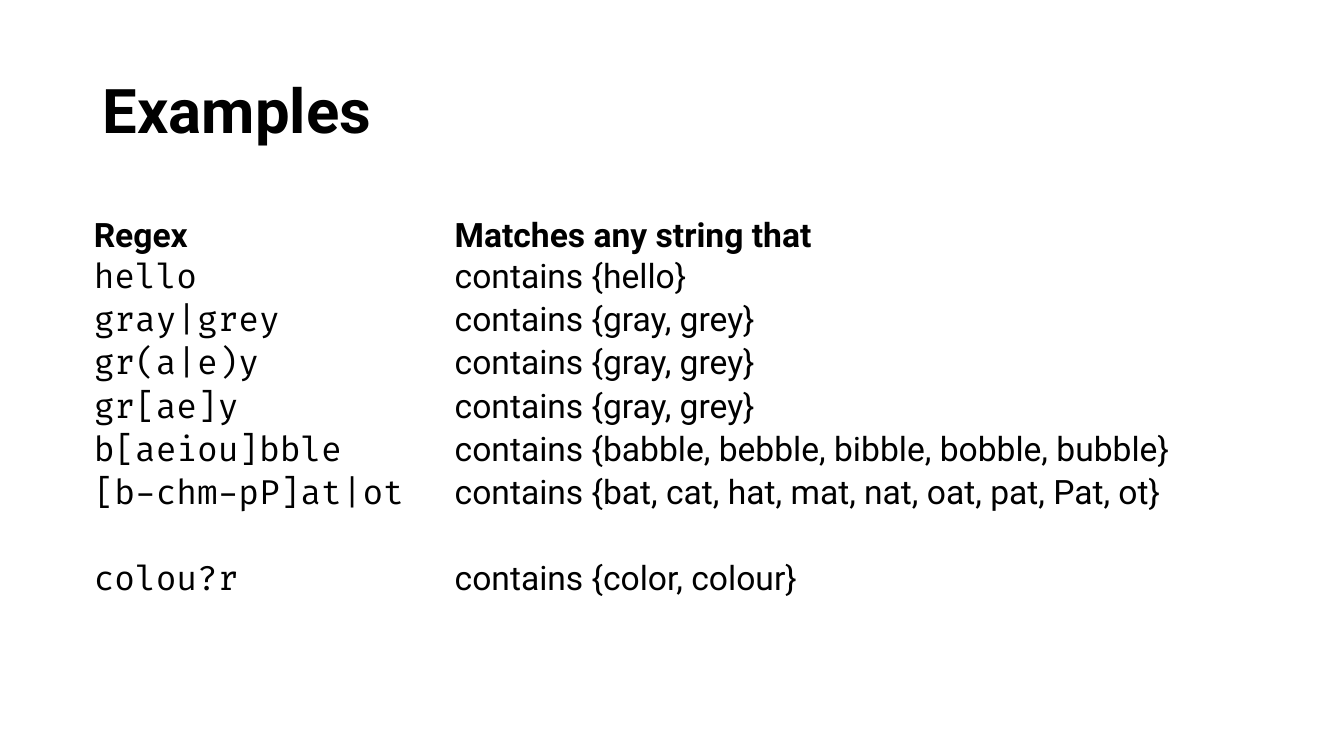
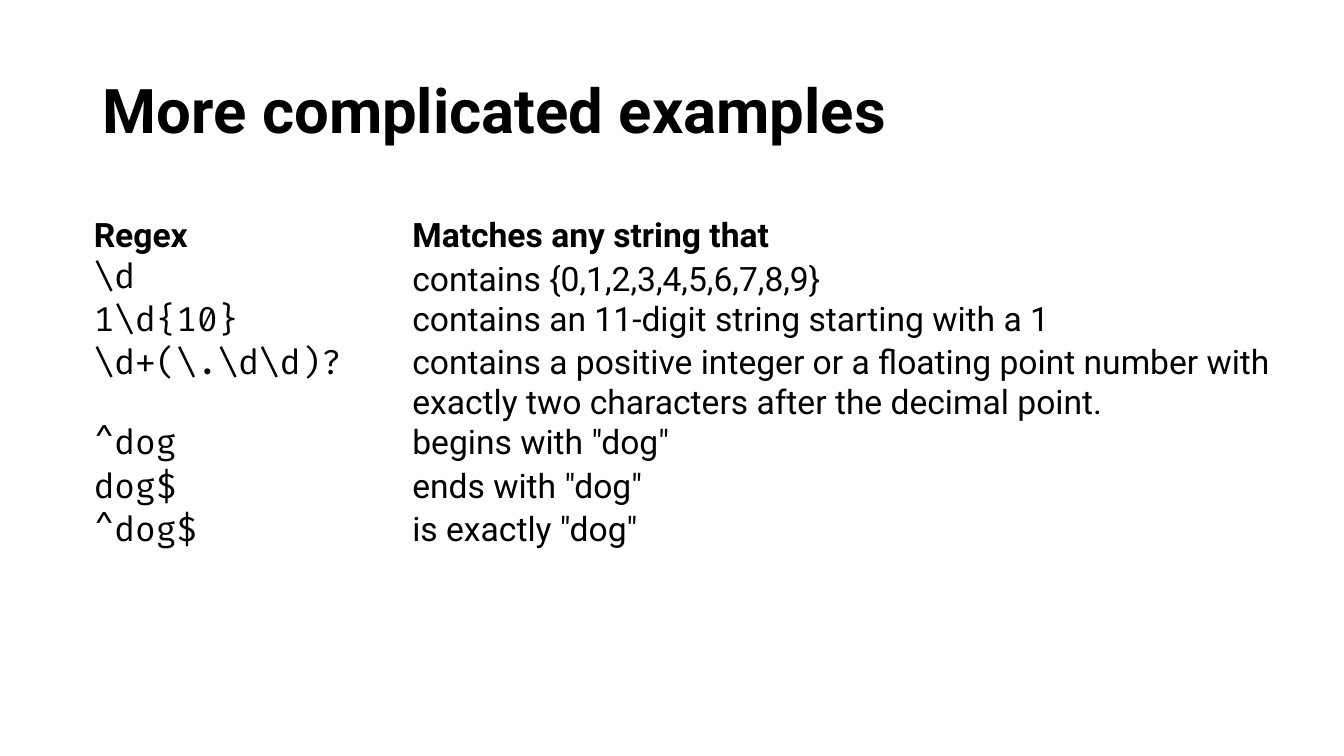
from pptx import Presentation
from pptx.dml.color import RGBColor
from pptx.enum.text import MSO_ANCHOR, PP_ALIGN
from pptx.util import Inches, Pt

TEXT_COLOR = "000000"
BACKGROUND = "FFFFFF"
SANS, MONO = "Roboto", "Fira Code"
TITLE_BOX = (0.92, 0.4, 11.5, 1.45)
TABLE_BOX = (0.92, 2.11, 12.09)
ROW_HEIGHT = 0.43
TALL_ROW, TALL_HEIGHT = 6, 0.85
HEADINGS = ("Regex", "Matches any string that")

EXAMPLES = [
    ("hello", "contains {hello}"),
    ("gray|grey", "contains {gray, grey}"),
    ("gr(a|e)y", "contains {gray, grey}"),
    ("gr[ae]y", "contains {gray, grey}"),
    ("b[aeiou]bble", "contains {babble, bebble, bibble, bobble, bubble}"),
    ("[b-chm-pP]at|ot", "contains {bat, cat, hat, mat, nat, oat, pat, Pat, ot}"),
    ("colou?r", "contains {color, colour}"),
]
COMPLICATED_EXAMPLES = [
    (r"\d", "contains {0,1,2,3,4,5,6,7,8,9}"),
    (r"1\d{10}", "contains an 11-digit string starting with a 1"),
    (r"\d+(\.\d\d)?", "contains a positive integer or a floating point number "
                      "with exactly two characters after the decimal point."),
    ("^dog", 'begins with "dog"'),
    ("dog$", 'ends with "dog"'),
    ("^dog$", 'is exactly "dog"'),
    ("", ""),
]


def rgb(value):
    return RGBColor.from_string(value)


def write(frame, text, font=SANS, size=24, bold=False, line_spacing=None):
    paragraph = frame.paragraphs[0]
    paragraph.alignment = PP_ALIGN.LEFT
    paragraph.line_spacing = line_spacing
    if not text:
        return
    run = paragraph.add_run()
    run.text = text
    run.font.name = font
    run.font.size = Pt(size)
    run.font.bold = bold
    run.font.color.rgb = rgb(TEXT_COLOR)


def place_title(slide, text, box):
    title = slide.shapes.title
    title.left, title.top, title.width, title.height = map(Inches, box)
    title.text_frame.word_wrap = True
    title.text_frame.vertical_anchor = MSO_ANCHOR.MIDDLE
    write(title.text_frame, text, size=44, bold=True, line_spacing=0.9)


def fill_cell(cell, text, anchor, **text_format):
    cell.fill.background()
    cell.margin_left = cell.margin_right = cell.margin_top = Inches(0.01)
    cell.margin_bottom = 0
    cell.vertical_anchor = anchor
    write(cell.text_frame, text, **text_format)


def place_regex_table(slide, examples, regex_width, bottom_rows, box):
    """Put the headings and examples in box; the first bottom_rows sit low."""
    left, top, width = box
    rows = [HEADINGS, *examples]
    heights = [TALL_HEIGHT if i == TALL_ROW else ROW_HEIGHT
               for i in range(len(rows))]
    table = slide.shapes.add_table(
        len(rows), len(HEADINGS), Inches(left), Inches(top),
        Inches(width), Inches(sum(heights))).table
    table.first_row = table.horz_banding = False
    for column, column_width in zip(table.columns, (regex_width, width - regex_width)):
        column.width = Inches(column_width)
    for i, (texts, height) in enumerate(zip(rows, heights)):
        table.rows[i].height = Inches(height)
        heading = i == 0
        anchor = MSO_ANCHOR.BOTTOM if i < bottom_rows else MSO_ANCHOR.TOP
        for j, text in enumerate(texts):
            font = MONO if j == 0 and not heading else SANS
            fill_cell(table.cell(i, j), text, anchor, font=font, bold=heading)


def add_regex_slide(deck, title, examples, regex_width, bottom_rows):
    slide = deck.slides.add_slide(deck.slide_layouts.get_by_name("Title Only"))
    place_title(slide, title, TITLE_BOX)
    place_regex_table(slide, examples, regex_width, bottom_rows, TABLE_BOX)


def main():
    deck = Presentation()
    deck.slide_width, deck.slide_height = Inches(13.33), Inches(7.5)
    background = deck.slide_master.background.fill
    background.solid()
    background.fore_color.rgb = rgb(BACKGROUND)
    add_regex_slide(deck, "Examples", EXAMPLES, regex_width=3.58, bottom_rows=1)
    add_regex_slide(deck, "More complicated examples", COMPLICATED_EXAMPLES,
                    regex_width=3.16, bottom_rows=2)
    deck.save("out.pptx")


if __name__ == "__main__":
    main()
